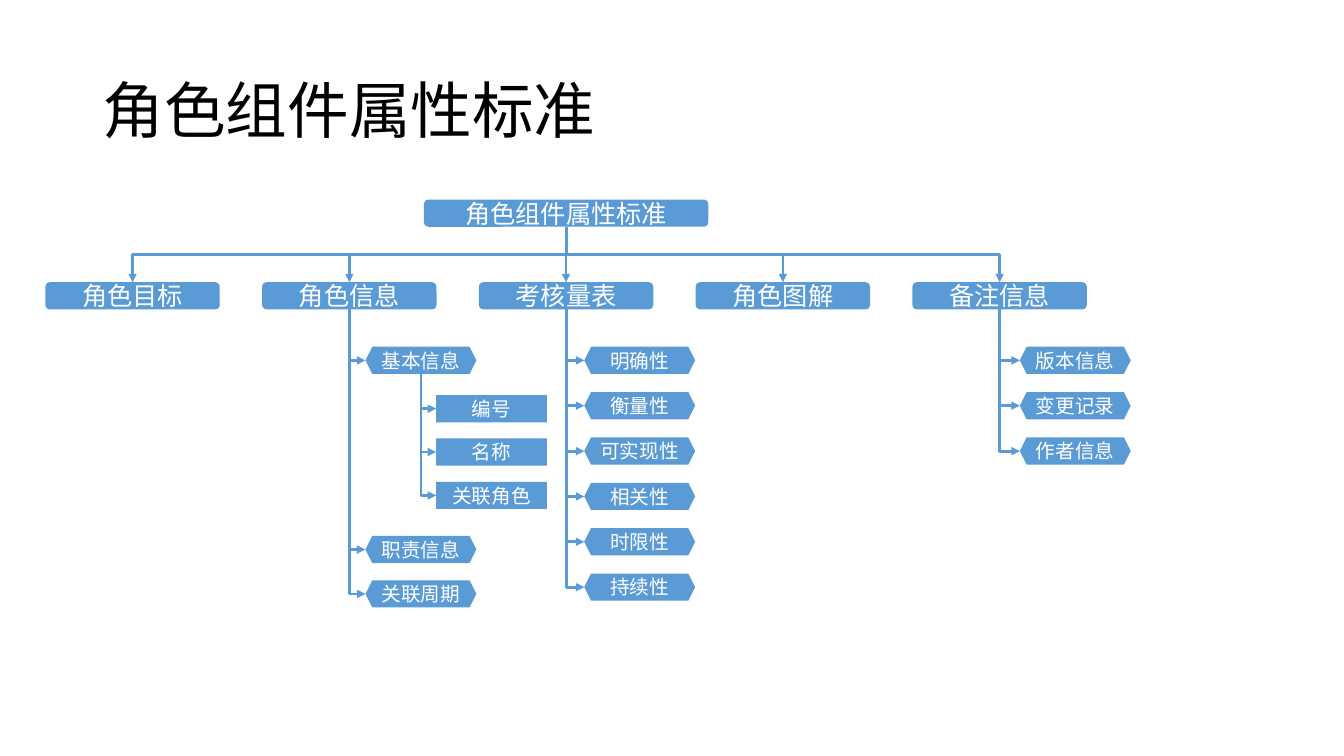
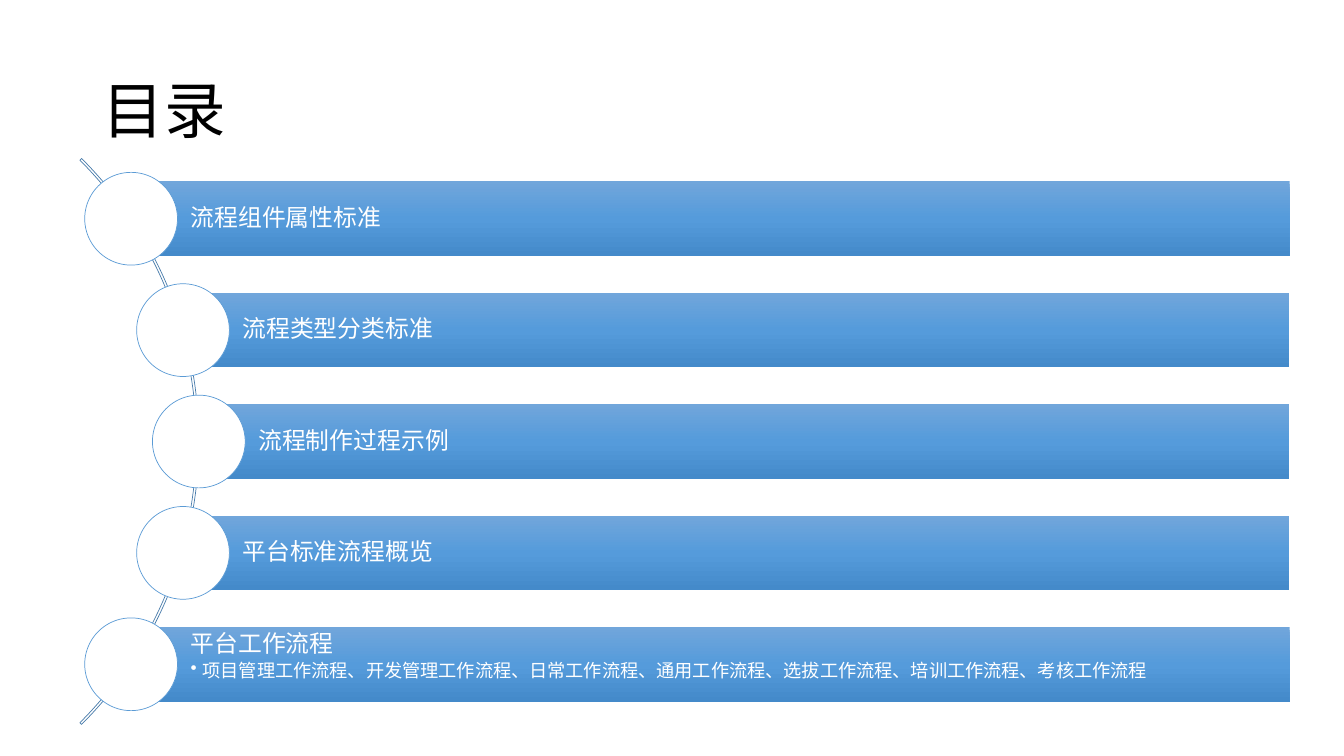
import collections
import copy
import math

import lxml.etree
import pptx
import pptx.dml.color
import pptx.enum.dml
import pptx.enum.shapes
import pptx.enum.text
import pptx.oxml.ns
import pptx.util

SHAPE = pptx.enum.shapes.MSO_SHAPE
CONNECTOR = pptx.enum.shapes.MSO_CONNECTOR
ANCHOR = pptx.enum.text.MSO_ANCHOR
ALIGN = pptx.enum.text.PP_ALIGN
RGBColor = pptx.dml.color.RGBColor

BLUE = RGBColor(0x5B, 0x9B, 0xD5)
ARC_BLUE = RGBColor(0x49, 0x7C, 0xAB)
WHITE = RGBColor(0xFF, 0xFF, 0xFF)
BLACK = RGBColor(0x00, 0x00, 0x00)
BAND_STOPS = [
    (0, RGBColor(0x71, 0xA6, 0xDB)),
    (0.5, RGBColor(0x55, 0x9B, 0xDB)),
    (1, RGBColor(0x44, 0x8A, 0xCA)),
]
FONT = "Noto Sans CJK SC"
SLIDE_WIDTH, SLIDE_HEIGHT = 13.33, 7.5
LABEL_HEIGHT, LEAF_WIDTH = 0.27, 1.1
ROW_PITCH, SUBROW_PITCH = 0.45, 0.43

Box = collections.namedtuple("Box", "left top width height")
Branch = collections.namedtuple("Branch", "name indent leaves")
Leaf = collections.namedtuple("Leaf", "name row children")

TITLE_BOX = Box(0.92, 0.4, 11.5, 1.45)
TREE_BOX = Box(0.45, 1.98, 10.33, 4.04)
AGENDA_BOX = Box(0.84, 1.71, 11.95, 5.34)


def leaf_rows(*names):
    """Return leaves on consecutive rows."""
    return [Leaf(name, row, []) for row, name in enumerate(names)]


BRANCHES = [
    Branch("角色目标", 0, []),
    Branch("角色信息", 0.16, [
        Leaf("基本信息", 0, ["编号", "名称", "关联角色"]),
        Leaf("职责信息", 4.17, []),
        Leaf("关联周期", 5.15, []),
    ]),
    Branch("考核量表", 0.18, leaf_rows(
        "明确性", "衡量性", "可实现性", "相关性", "时限性", "持续性")),
    Branch("角色图解", 0, []),
    Branch("备注信息", 0.2, leaf_rows("版本信息", "变更记录", "作者信息")),
]
AGENDA = [
    ["流程组件属性标准"],
    ["流程类型分类标准"],
    ["流程制作过程示例"],
    ["平台标准流程概览"],
    ["平台工作流程",
     "项目管理工作流程、开发管理工作流程、日常工作流程、通用工作流程、"
     "选拔工作流程、培训工作流程、考核工作流程"],
]


def inches(*lengths):
    """Convert lengths in inches to slide units."""
    return [pptx.util.Inches(length) for length in lengths]


def add_child(parent, tag, **attributes):
    """Append a drawing element with the given attributes."""
    return lxml.etree.SubElement(parent, pptx.oxml.ns.qn(tag), attributes)


def write_para(para, text, size, color, align=ALIGN.LEFT, spacing=1.0):
    """Fill a paragraph and format its runs."""
    para.text = text
    para.alignment = align
    para.line_spacing = spacing
    for span in para.runs:
        span.font.size = pptx.util.Pt(size)
        span.font.name = FONT
        span.font.color.rgb = color
        add_child(span.font._element, "a:ea", typeface=FONT)


def set_frame(frame, margins, anchor=ANCHOR.MIDDLE):
    """Set wrapping, margins and anchor of a text frame."""
    frame.word_wrap = True
    frame.vertical_anchor = anchor
    (frame.margin_left, frame.margin_top,
     frame.margin_right, frame.margin_bottom) = inches(*margins)


def add_figure(page, kind, box, fill=None, line=None):
    """Add a flat preset shape with an optional fill and thin outline."""
    figure = page.shapes.add_shape(kind, *inches(*box))
    figure.shadow.inherit = False
    if fill is None:
        figure.fill.background()
    else:
        figure.fill.solid()
        figure.fill.fore_color.rgb = fill
    if line is None:
        figure.line.fill.background()
    else:
        figure.line.color.rgb = line
        figure.line.width = pptx.util.Pt(0.5)
    return figure


def add_label(page, kind, box, text, size):
    """Add a blue tree node with centred white text."""
    label = add_figure(page, kind, box, BLUE)
    set_frame(label.text_frame, (0, 0, 0, 0))
    write_para(label.text_frame.paragraphs[0], text, size, WHITE, ALIGN.CENTER)


def add_arrow(page, start, end, preset):
    """Add an arrow that leaves downwards and bends towards its end."""
    rise, run = end[1] - start[1], end[0] - start[0]
    middle_x, middle_y = (start[0] + end[0]) / 2, (start[1] + end[1]) / 2
    half_rise, half_run = rise / 2, abs(run) / 2
    arrow = page.shapes.add_connector(CONNECTOR.ELBOW, *inches(
        middle_x - half_rise, middle_y - half_run,
        middle_x + half_rise, middle_y + half_run))
    properties = arrow._element.spPr
    properties.find(pptx.oxml.ns.qn("a:prstGeom")).set("prst", preset)
    frame = properties.find(pptx.oxml.ns.qn("a:xfrm"))
    frame.set("rot", str((90 if run < 0 else 270) * 60000))
    if run >= 0:
        frame.set("flipH", "1")
    arrow.line.color.rgb = BLUE
    arrow.line.width = pptx.util.Pt(2)
    add_child(arrow.line._get_or_add_ln(), "a:tailEnd", type="triangle")
    add_child(properties, "a:effectLst")


def add_leaves(page, kind, stem, left, placed):
    """Add side nodes, each joined to the stem by an arrow."""
    for name, top in placed:
        add_arrow(page, stem, (left, top + LABEL_HEIGHT / 2), "bentConnector2")
        add_label(page, kind, Box(left, top, LEAF_WIDTH, LABEL_HEIGHT), name, 14)


def add_branch(page, box, branch):
    """Add one branch head and everything below it."""
    add_label(page, SHAPE.ROUNDED_RECTANGLE,
              Box(box.left, box.top, box.width, LABEL_HEIGHT), branch.name, 18)
    stem = (box.left + box.width / 2, box.top + LABEL_HEIGHT)
    left = stem[0] + branch.indent
    first_top = box.top + 0.64
    placed = [(leaf.name, first_top + leaf.row * ROW_PITCH) for leaf in branch.leaves]
    add_leaves(page, SHAPE.HEXAGON, stem, left, placed)
    for leaf, (_, top) in zip(branch.leaves, placed):
        substem = (left + LEAF_WIDTH / 2, top + LABEL_HEIGHT)
        subplaced = [(name, top + 0.48 + row * SUBROW_PITCH)
                     for row, name in enumerate(leaf.children)]
        add_leaves(page, SHAPE.RECTANGLE, substem, substem[0] + 0.15, subplaced)


def add_tree(page, box, name, branches):
    """Add the root node and its evenly spaced branches."""
    root_width, head_width, drop = 2.82, 1.73, 0.82
    middle = box.left + box.width / 2
    pitch = (box.width - head_width) / (len(branches) - 1)
    add_label(page, SHAPE.ROUNDED_RECTANGLE,
              Box(middle - root_width / 2, box.top, root_width, LABEL_HEIGHT), name, 18)
    for column, branch in enumerate(branches):
        head = Box(box.left + column * pitch, box.top + drop,
                   head_width, box.height - drop)
        add_arrow(page, (middle, box.top + LABEL_HEIGHT),
                  (head.left + head_width / 2, head.top), "bentConnector3")
        add_branch(page, head, branch)


def fill_band(band):
    """Give a band its vertical three-stop gradient."""
    band.fill.gradient()
    band.fill.gradient_angle = 270
    stops = band._element.spPr.find(".//" + pptx.oxml.ns.qn("a:gsLst"))
    stops.insert(1, copy.deepcopy(stops[0]))
    for stop, (position, color) in zip(band.fill.gradient_stops, BAND_STOPS):
        stop.position = position
        stop.color.rgb = color


def add_band(page, box, lines):
    """Add a gradient band with a heading and optional bullets."""
    band = add_figure(page, SHAPE.RECTANGLE, box)
    fill_band(band)
    frame = band.text_frame
    heading, *bullets = lines
    set_frame(frame, (0.59, 0.05, 0.05, 0.05), ANCHOR.TOP if bullets else ANCHOR.MIDDLE)
    write_para(frame.paragraphs[0], heading, 17, WHITE, spacing=0.9)
    for text in bullets:
        frame.paragraphs[0].space_after = pptx.util.Pt(3)
        para = frame.add_paragraph()
        write_para(para, text, 13, WHITE, spacing=0.9)
        settings = para._p.get_or_add_pPr()
        settings.set("marL", str(pptx.util.Inches(0.12)))
        settings.set("indent", str(-pptx.util.Inches(0.12)))
        add_child(settings, "a:buChar", char="•")


def add_agenda(page, box, entries):
    """Add bands whose round markers sit on one arc."""
    diameter, band_height, radius = 0.92, 0.74, 3.97
    pitch = (box.height - diameter) / (len(entries) - 1)
    center_y = box.top + box.height / 2
    reach = (len(entries) - 1) / 2 * pitch
    center_x = box.left + diameter / 2 - math.sqrt(radius ** 2 - reach ** 2)
    arc = add_figure(page, SHAPE.BLOCK_ARC,
                     Box(center_x - radius, center_y - radius, 2 * radius, 2 * radius),
                     line=ARC_BLUE)
    for index, value in enumerate((189, 27, 0.003)):
        arc.adjustments[index] = value
    for row, lines in enumerate(entries):
        offset = row * pitch - reach
        x, y = center_x + math.sqrt(radius ** 2 - offset ** 2), center_y + offset
        add_band(page, Box(x, y - band_height / 2,
                           box.left + box.width - x, band_height), lines)
        add_figure(page, SHAPE.OVAL,
                   Box(x - diameter / 2, y - diameter / 2, diameter, diameter),
                   WHITE, BLUE)


def add_page(deck, title):
    """Add a blank page with the shared title style."""
    page = deck.slides.add_slide(deck.slide_layouts[6])
    frame = page.shapes.add_textbox(*inches(*TITLE_BOX)).text_frame
    set_frame(frame, (0.1, 0.05, 0.1, 0.05))
    write_para(frame.paragraphs[0], title, 44, BLACK, spacing=0.9)
    return page


def main():
    """Build and save the deck."""
    deck = pptx.Presentation()
    deck.slide_width, deck.slide_height = inches(SLIDE_WIDTH, SLIDE_HEIGHT)
    add_tree(add_page(deck, "角色组件属性标准"), TREE_BOX, "角色组件属性标准", BRANCHES)
    add_agenda(add_page(deck, "目录"), AGENDA_BOX, AGENDA)
    deck.save("out.pptx")


if __name__ == "__main__":
    main()
